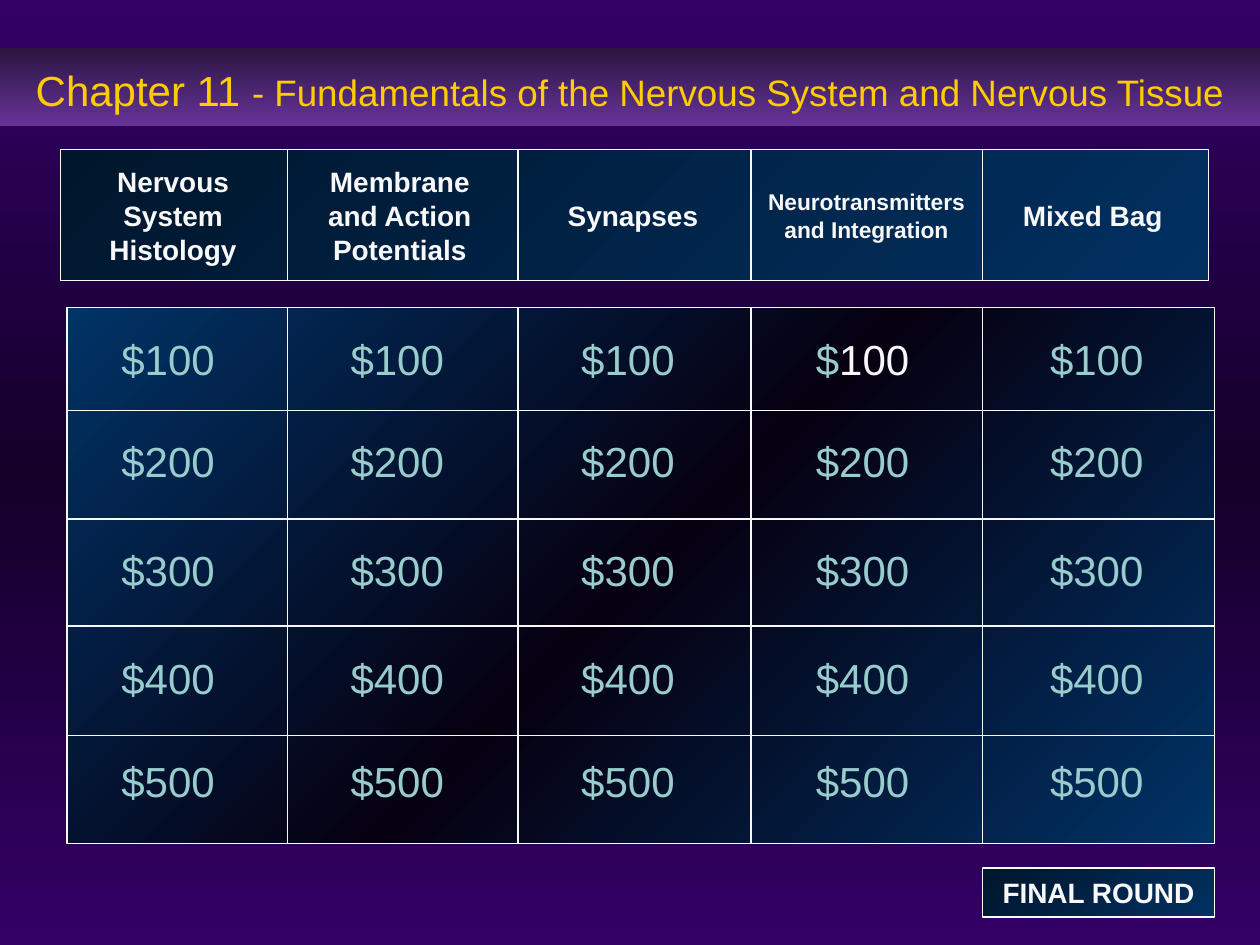
from lxml.etree import SubElement
from pptx import Presentation
from pptx.dml.color import RGBColor
from pptx.enum.shapes import MSO_CONNECTOR, MSO_SHAPE
from pptx.enum.text import MSO_ANCHOR, MSO_AUTO_SIZE, PP_ALIGN
from pptx.oxml.ns import qn
from pptx.util import Cm, Pt

WHITE, GOLD, TEAL = "F8F8F8", "FFCC00", "99CCCC"
NAVY = ["013061", "00162C"]
LINE_WIDTH = 0.74

TITLE = [("Chapter 11 ", 24),
         ("- Fundamentals of the Nervous System and Nervous Tissue", 21)]
# text, left, width, height, size
CATEGORIES = [
    ("Nervous System Histology", 1.37, 4.24, 2.29, 16),
    ("Membrane and Action Potentials", 5.94, 4.24, 2.29, 16),
    ("Synapses", 10.64, 4.24, 0.94, 16),
    ("Neurotransmitters and Integration", 14.99, 4.95, 1.37, 13),
    ("Mixed Bag", 19.91, 4.24, 0.94, 16),
]
PRICE_COLUMNS = [(1.88, 3.02), (6.5, 3.02), (11.15, 3.02), (15.88, 3.02), (20.55, 3.12)]
PRICE_ROWS = {"100": 6.6, "200": 8.66, "300": 10.85, "400": 13.03, "500": 15.11}
HIGHLIGHT = (3, "100")

# left, top, width, height
TITLE_BAR = (0, 0.97, 25.4, 1.57)
HEADER = (1.22, 3.02, 23.14, 2.64)
BOARD = (1.35, 6.2, 23.14, 10.8)
FINAL = (19.81, 17.5, 4.67, 0.99)
COLUMN_LINES = [5.79, 10.44, 15.14, 19.81]
ROW_LINES = [8.28, 10.46, 12.62, 14.83]


def color(value):
    """Turn a hex string into a colour."""
    return RGBColor.from_string(value)


def set_gradient(fill, element, colors, angle):
    """Give a fill evenly spaced stops at a clockwise angle."""
    fill.gradient()
    grad = next(element.iter(qn("a:gradFill")))
    stops = grad.find(qn("a:gsLst"))
    for old in list(stops):
        stops.remove(old)
    for i, value in enumerate(colors):
        stop = SubElement(stops, qn("a:gs"), pos=str(i * 100000 // (len(colors) - 1)))
        SubElement(stop, qn("a:srgbClr"), val=value)
    lin = grad.find(qn("a:lin"))
    lin.set("ang", str(angle * 60000))
    lin.set("scaled", "0")


def add_panel(s, box, colors, angle=225, outlined=True):
    """Add a gradient rectangle."""
    sp = s.shapes.add_shape(MSO_SHAPE.RECTANGLE, *map(Cm, box))
    sp.shadow.inherit = False
    set_gradient(sp.fill, sp.element, colors, angle)
    if outlined:
        sp.line.color.rgb = color(WHITE)
        sp.line.width = Pt(LINE_WIDTH)
    else:
        sp.line.fill.background()
    return sp


def write(sp, runs, bold=False, wrap=True, spacing=None):
    """Write one centred paragraph from (text, size, colour) runs."""
    tf = sp.text_frame
    tf.word_wrap = wrap
    tf.vertical_anchor = MSO_ANCHOR.MIDDLE
    p = tf.paragraphs[0]
    p.alignment = PP_ALIGN.CENTER
    if spacing:
        p.line_spacing = spacing
    for text, size, value in runs:
        r = p.add_run()
        r.text = text
        r.font.name = "Arial"
        r.font.size = Pt(size)
        r.font.bold = bold
        r.font.color.rgb = color(value)


def add_label(s, box, runs, bold=False):
    """Add a text box that fits its text."""
    sp = s.shapes.add_textbox(*map(Cm, box))
    write(sp, runs, bold)
    sp.text_frame.auto_size = MSO_AUTO_SIZE.SHAPE_TO_FIT_TEXT


def add_rule(s, x1, y1, x2, y2):
    """Add a thin grid line."""
    line = s.shapes.add_connector(MSO_CONNECTOR.STRAIGHT, *map(Cm, (x1, y1, x2, y2)))
    line.line.color.rgb = color(WHITE)
    line.line.width = Pt(LINE_WIDTH)
    SubElement(line.element.spPr, qn("a:effectLst"))


prs = Presentation()
prs.slide_width, prs.slide_height = Cm(25.4), Cm(19.05)
s = prs.slides.add_slide(prs.slide_layouts[6])
set_gradient(s.background.fill, s.element, ["330066", "140029", "330066"], 90)

add_panel(s, BOARD, ["003366", "060011", "003366"])
title = add_panel(s, TITLE_BAR, ["2B1541", "663399"], 90, outlined=False)
write(title, [(text, size, GOLD) for text, size in TITLE], spacing=1.1)
add_panel(s, HEADER, NAVY)

for col, (left, width) in enumerate(PRICE_COLUMNS):
    for amount, top in PRICE_ROWS.items():
        if (col, amount) == HIGHLIGHT:
            runs = [("$", 24, TEAL), (amount, 24, WHITE)]
        else:
            runs = [("$" + amount, 24, TEAL)]
        add_label(s, (left, top, width, 1.27), runs)

header_middle = HEADER[1] + HEADER[3] / 2
for text, left, width, height, size in CATEGORIES:
    box = (left, header_middle - height / 2, width, height)
    add_label(s, box, [(text, size, WHITE)], bold=True)

for _, top, _, height in (HEADER, BOARD):
    for x in COLUMN_LINES:
        add_rule(s, x, top, x, top + height)
for y in ROW_LINES:
    add_rule(s, BOARD[0], y, BOARD[0] + BOARD[2], y)

final = add_panel(s, FINAL, NAVY)
write(final, [("FINAL ROUND", 16, WHITE)], bold=True, wrap=False)

prs.save("out.pptx")
